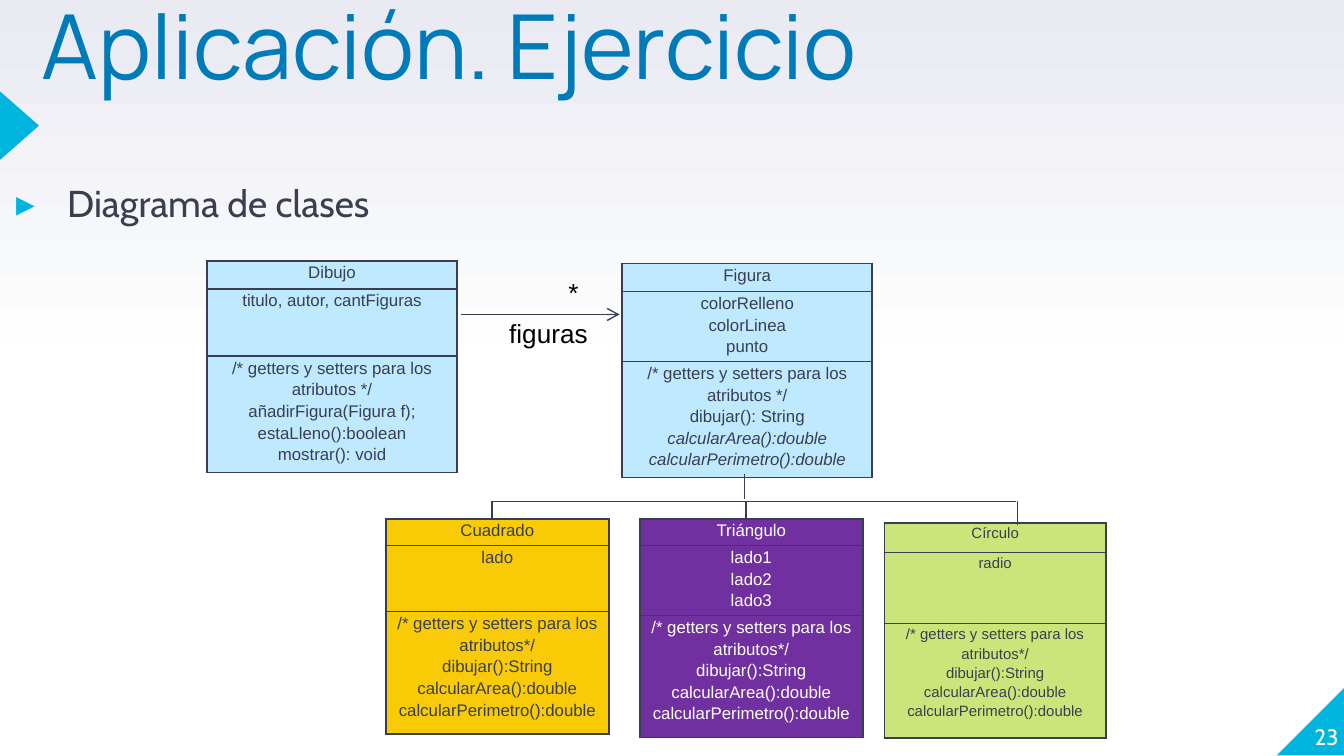
from lxml import etree
from pptx import Presentation
from pptx.dml.color import RGBColor
from pptx.enum.shapes import MSO_CONNECTOR, MSO_SHAPE
from pptx.enum.text import MSO_ANCHOR, PP_ALIGN
from pptx.oxml.ns import qn
from pptx.util import Inches, Pt

CENTER, RIGHT, LEFT = PP_ALIGN.CENTER, PP_ALIGN.RIGHT, PP_ALIGN.LEFT
TOP, BOTTOM = MSO_ANCHOR.TOP, MSO_ANCHOR.BOTTOM
STRAIGHT = MSO_CONNECTOR.STRAIGHT
TRIANGLE, CORNER = MSO_SHAPE.ISOSCELES_TRIANGLE, MSO_SHAPE.RIGHT_TRIANGLE
INK, LINE, ACCENT, WHITE, BLACK = "3A3F50", "383D4F", "00B5DD", "FFFFFF", "000000"
BLUE, GREEN, PURPLE, YELLOW = "BEE9FF", "CBE57A", "7030A0", "F9CB07"

ACCESSORS = "/* getters y setters para los atributos */"
SHAPE_METHODS = ["/* getters y setters para los atributos*/", "dibujar():String",
                 "calcularArea():double", "calcularPerimetro():double"]
# box (left, top, width, height), row heights, fill, text colour, size, compartments
CLASSES = [
    ((4.63, 1.96, 1.86, 1.59), (0.21, 0.5, 0.83), BLUE, INK, 9,
     [["Figura"], ["colorRelleno", "colorLinea", "punto"],
      [ACCESSORS, "dibujar(): String", "calcularArea():double",
       "calcularPerimetro():double"]]),
    ((6.58, 3.89, 1.65, 1.6), (0.22, 0.53, 0.85), GREEN, INK, 8,
     [["Círculo"], ["radio"], SHAPE_METHODS]),
    ((4.76, 3.86, 1.66, 1.63), (0.2, 0.49, 0.91), PURPLE, WHITE, 9,
     [["Triángulo"], ["lado1", "lado2", "lado3"], SHAPE_METHODS]),
    ((2.87, 3.86, 1.66, 1.59), (0.2, 0.49, 0.91), YELLOW, INK, 9,
     [["Cuadrado"], ["lado"], SHAPE_METHODS]),
    ((1.54, 1.94, 1.86, 1.57), (0.21, 0.5, 0.83), BLUE, INK, 9,
     [["Dibujo"], ["titulo, autor, cantFiguras"],
      [ACCESSORS, "añadirFigura(Figura f);", "estaLleno():boolean",
       "mostrar(): void"]]),
]
ABSTRACT = {("Figura", "calcularArea():double"),
            ("Figura", "calcularPerimetro():double")}


def rgb(value):
    return RGBColor.from_string(value)


def write(p, text, font, size, color, italic=False, **fmt):
    for name, value in fmt.items():
        setattr(p, name, value)
    r = p.add_run()
    r.text = text
    for name, value in {"name": font, "size": Pt(size), "italic": italic}.items():
        setattr(r.font, name, value)
    r.font.color.rgb = rgb(color)


def add_text(s, box, text, font, size, color, anchor=TOP, inset=(0, 0), **fmt):
    tf = s.shapes.add_textbox(*map(Inches, box)).text_frame
    tf.word_wrap = True
    tf.vertical_anchor = anchor
    tf.margin_left = tf.margin_right = Inches(inset[0])
    tf.margin_top = tf.margin_bottom = Inches(inset[1])
    write(tf.paragraphs[0], text, font, size, color, **fmt)
    return tf.paragraphs[0]


def add_bullet(p, char, font, color, margin, indent):
    pPr = p._p.get_or_add_pPr()
    pPr.set("marL", str(Inches(margin)))
    pPr.set("indent", str(Inches(indent)))
    clr = etree.SubElement(pPr, qn("a:buClr"))
    etree.SubElement(clr, qn("a:srgbClr"), val=color)
    etree.SubElement(pPr, qn("a:buFont"), typeface=font)
    etree.SubElement(pPr, qn("a:buChar"), char=char)


def add_line(s, start, end, color=LINE, arrow=False):
    c = s.shapes.add_connector(STRAIGHT, *map(Inches, start + end))
    c.line.color.rgb = rgb(color)
    c.line.width = Pt(0.75)
    spPr = c._element.spPr
    if arrow:
        etree.SubElement(spPr.find(qn("a:ln")), qn("a:tailEnd"), type="arrow")
    etree.SubElement(spPr, qn("a:effectLst"))


def add_borders(cell, color, width):
    tcPr = cell._tc.get_or_add_tcPr()
    for side in ("lnL", "lnR", "lnT", "lnB"):
        ln = etree.SubElement(tcPr, qn("a:" + side), w=str(Pt(width)))
        fill = etree.SubElement(ln, qn("a:solidFill"))
        etree.SubElement(fill, qn("a:srgbClr"), val=color)


def add_class(s, box, heights, fill, color, size, parts):
    frame = s.shapes.add_table(len(parts), 1, *map(Inches, box))
    table = frame.table
    name = parts[0][0]
    for i, (height, lines) in enumerate(zip(heights, parts)):
        table.rows[i].height = Inches(height)
        cell = table.cell(i, 0)
        cell.margin_left = cell.margin_right = Inches(0.07)
        cell.margin_top = cell.margin_bottom = 0
        add_borders(cell, INK, 1)
        cell.fill.solid()
        cell.fill.fore_color.rgb = rgb(fill)
        tf = cell.text_frame
        for j, text in enumerate(lines):
            p = tf.paragraphs[0] if j == 0 else tf.add_paragraph()
            write(p, text, "Arial", size, color, (name, text) in ABSTRACT,
                  alignment=CENTER, line_spacing=1.15)
    frame.height = Inches(box[3])


def add_ornament(s, kind, box, rotation=0):
    sp = s.shapes.add_shape(kind, *map(Inches, box))
    sp.shadow.inherit = False
    sp.fill.solid()
    sp.fill.fore_color.rgb = rgb(ACCENT)
    sp.line.fill.background()
    sp.rotation = rotation
    return sp


def add_frame(s):
    # Background, ornaments and page number
    fill = s.background.fill
    fill.gradient()
    fill.gradient_angle = 90
    for stop, (pos, color) in zip(fill.gradient_stops, [(0.5, WHITE), (1, "E9EAF2")]):
        stop.position = pos
        stop.color.rgb = rgb(color)
    corner = add_ornament(s, CORNER, (9.5, 5.11, 0.51, 0.51))
    corner._element.spPr.get_or_add_xfrm().set("flipH", "1")
    add_ornament(s, TRIANGLE, (-0.11, 0.79, 0.51, 0.29), 90)
    add_text(s, (9.46, 5.07, 0.5, 0.51), "23", "Cabin", 12, WHITE, BOTTOM,
             alignment=RIGHT)


def add_headings(s):
    add_text(s, (0.31, 0.08, 6.17, 1.18), "Aplicación. Ejercicio", "Manrope", 48,
             "007BB9", alignment=LEFT, line_spacing=0.8)
    p = add_text(s, (0, 1.31, 9, 4), "Diagrama de clases", "Cabin", 20, INK,
                 line_spacing=1.1, space_before=Pt(6))
    add_bullet(p, "▸", "Cabin", ACCENT, 0.5, -0.38)


def add_diagram(s):
    for row in CLASSES:
        add_class(s, *row)
    # Inheritance tree
    bar = 3.73
    add_line(s, (3.66, bar), (7.56, bar))
    add_line(s, (5.54, 3.53), (5.54, 3.71))
    for x, bottom in [(3.66, 3.86), (5.55, 3.86), (7.57, 3.91)]:
        add_line(s, (x, bar), (x, bottom))
    # Association from Dibujo to Figura
    add_line(s, (3.43, 2.34), (4.61, 2.34), INK, arrow=True)
    for box, text in [((4.13, 2.01, 0.39, 0.4), "*"),
                      ((3.69, 2.31, 1.15, 0.34), "figuras")]:
        add_text(s, box, text, "Arial", 14, BLACK, inset=(0.1, 0.05))


def main():
    prs = Presentation()
    # 16:9 page
    prs.slide_width, prs.slide_height = Inches(10), Inches(10 * 9 / 16)
    s = prs.slides.add_slide(prs.slide_layouts[6])
    add_frame(s)
    add_headings(s)
    add_diagram(s)
    prs.save("out.pptx")


if __name__ == "__main__":
    main()
